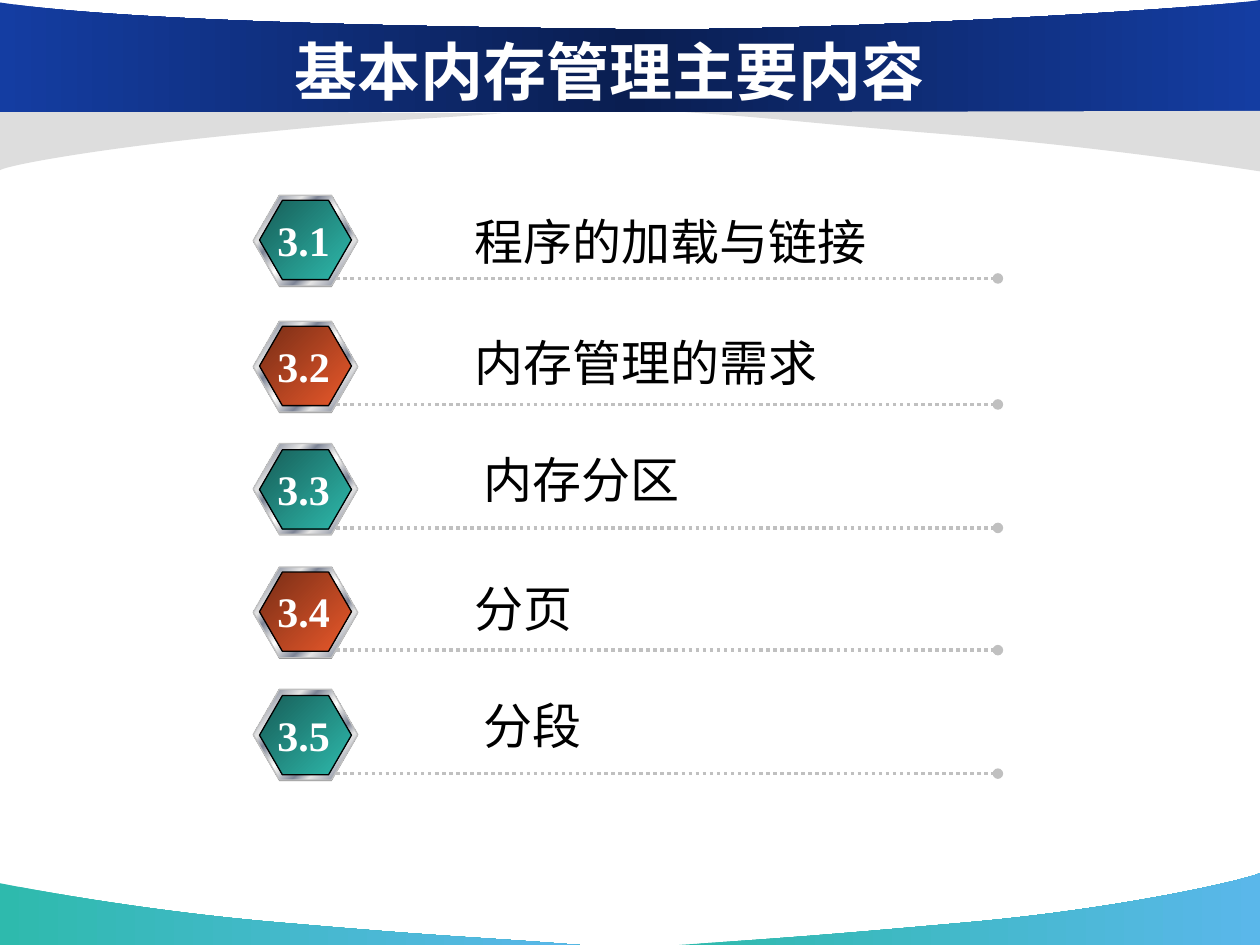
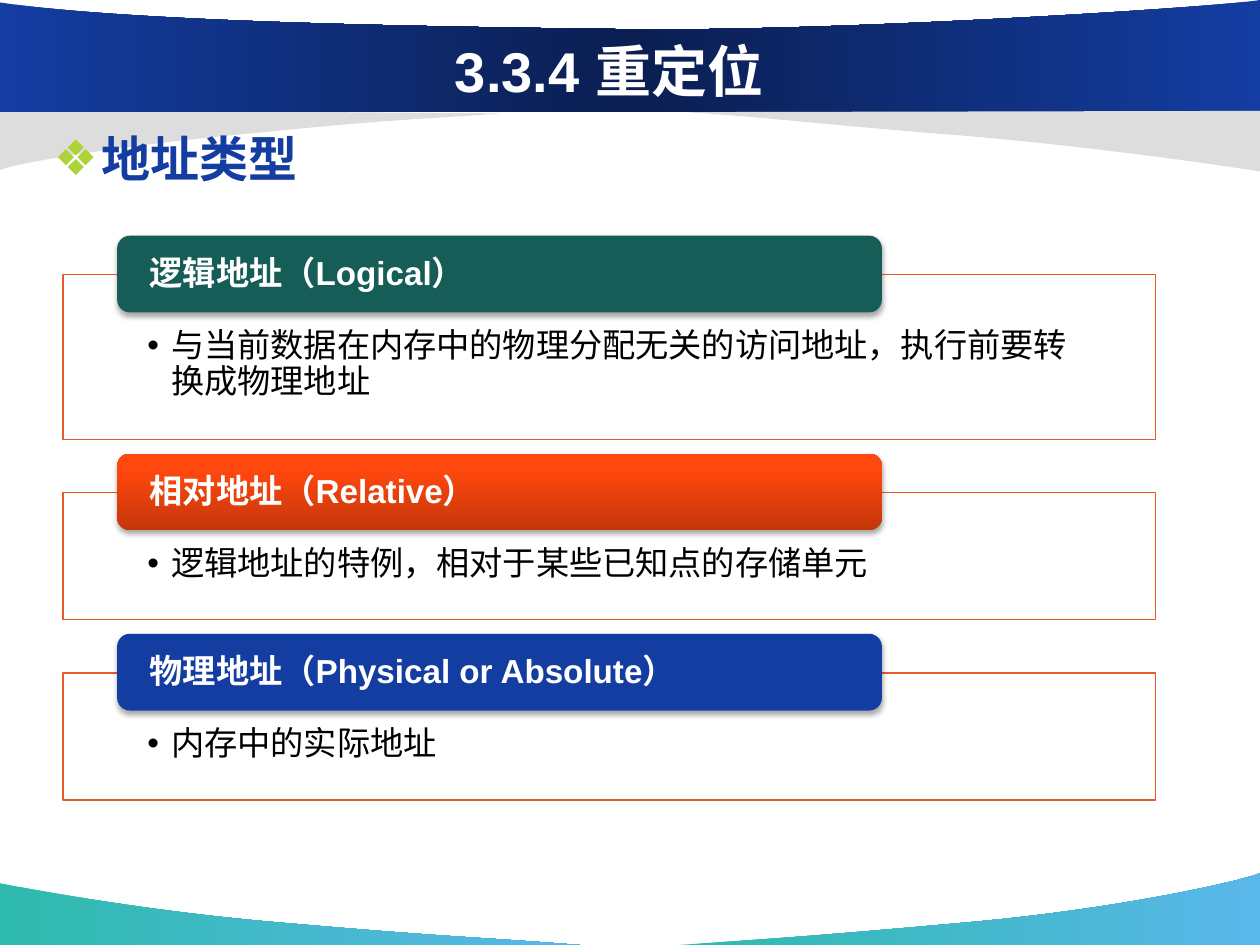
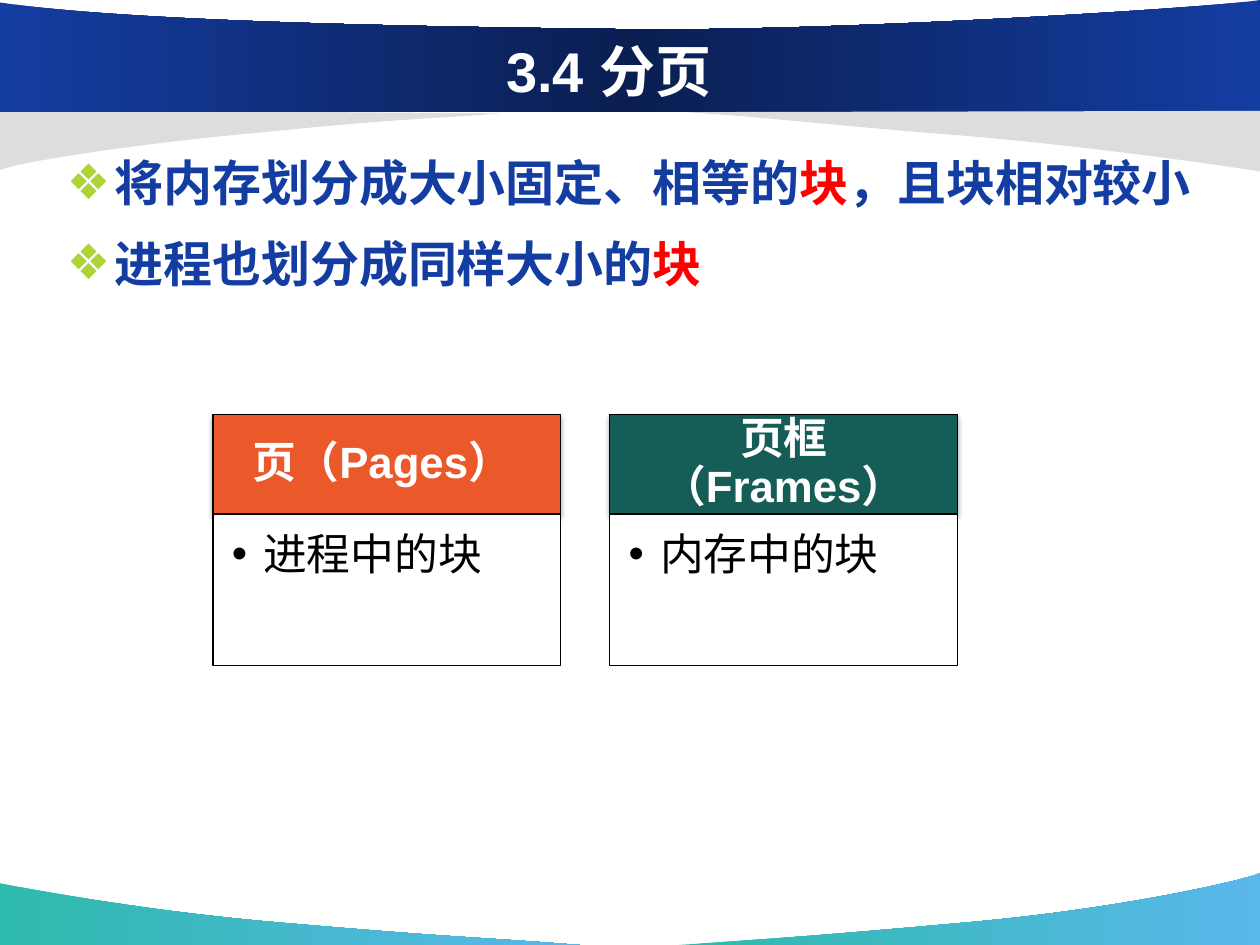
from lxml.etree import SubElement
from pptx import Presentation
from pptx.dml.color import RGBColor
from pptx.enum.dml import MSO_LINE
from pptx.enum.shapes import MSO_CONNECTOR as Connector, MSO_SHAPE as Preset
from pptx.enum.text import MSO_ANCHOR as Anchor, PP_ALIGN as Align
from pptx.oxml.ns import qn
from pptx.util import Pt

PX = 9144
COLORS = {
    "white": "FFFFFF", "black": "000000", "red": "FF0000", "gray": "DDDDDD",
    "silver": "C0C0C0", "shade": "808080", "blue": "143DA2", "navy": "0A1E51",
    "teal": "2EBAAD", "dark_teal": "175D57", "sky": "5AB7EA",
    "orange": "EB592B", "rust": "762D16", "brick": "C5370B", "flame": "FF480E",
    "bright_flame": "FF4910", "lime": "AED337", "light_steel": "E6E6E6", "steel": "7D8496",
}
FOOTER = ([(0, "teal"), (100, "sky")], 0)
BANNER = ([(0, "blue"), (50, "navy"), (100, "blue")], 0)
TEAL_BADGE = ([(0, "dark_teal"), (100, "teal")], 45)
ORANGE_BADGE = ([(0, "rust"), (100, "orange")], 45)
FLAME = ([(0, "brick"), (80, "flame"), (100, "bright_flame")], 270)
METAL = ([(0, "light_steel"), (8, "steel"), (26, "light_steel"), (34, "steel"),
          (46, "light_steel"), (50, "white"), (54, "light_steel"), (66, "steel"),
          (74, "light_steel"), (92, "steel"), (100, "light_steel")], 45)
BACKDROP = [
    (FOOTER, (460, 750), [(384, 744, 358, 744, 232, 733), (106, 723, 1, 701, 0, 701), (0, 750)]),
    (FOOTER, (539, 750), [(614, 745, 646, 743, 769, 732), (892, 721, 990, 698, 1000, 693),
                          (1000, 750)]),
    ("gray", (398, 90), [(331, 95, 318, 94, 208, 105), (97, 115, 9, 130, 0, 135), (0, 87)]),
    (BANNER, (0, 89), [(1000, 89), (1000, 0), (964, 6, 653, 26, 487, 23),
                       (321, 21, 101, 17, 0, 2)]),
    ("gray", (544, 89), [(620, 94, 642, 98, 768, 108), (894, 119, 999, 136, 1000, 136),
                         (1000, 88)]),
]


def rgb(name):
    """Return the colour of that name."""
    return RGBColor.from_string(COLORS[name])


def add_color(parent, name):
    """Append a colour element and return it."""
    return SubElement(parent, qn("a:srgbClr"), val=COLORS[name])


def bend(shape, corners, segments):
    """Turn the six-number segments of an outline into cubic curves."""
    left, top = (min(values) for values in zip(*corners))
    lines = list(shape.element.iter(qn("a:lnTo")))
    for line, segment in zip(lines, segments):
        if len(segment) == 6:
            curve = SubElement(line.getparent(), qn("a:cubicBezTo"))
            for x, y in zip(segment[::2], segment[1::2]):
                SubElement(curve, qn("a:pt"), x=str(x - left), y=str(y - top))
            line.getparent().replace(line, curve)


def add_bullet(paragraph, character, indent, color):
    """Give a paragraph a hanging bullet."""
    properties = paragraph._p.get_or_add_pPr()
    properties.set("marL", str(indent * PX))
    properties.set("indent", str(-indent * PX))
    add_color(SubElement(properties, qn("a:buClr")), color)
    SubElement(properties, qn("a:buFont"), typeface="Arial")
    SubElement(properties, qn("a:buChar"), char=character)


def write_text(shape, text, size=28, color="black", bold=False, font="Arial", align=Align.LEFT,
               anchor=Anchor.TOP, insets=(10, 5, 10, 5), wrap=True, line_spacing=1.0,
               space_before=0, bullet=None, indent=0, bullet_color="black"):
    """Write lines of text, with the parts between asterisks in red."""
    frame = shape.text_frame
    frame.word_wrap = wrap
    frame.vertical_anchor = anchor
    frame.margin_left, frame.margin_top, frame.margin_right, frame.margin_bottom = (
        inset * PX for inset in insets)
    for row, line in enumerate(text.split("\n")):
        paragraph = frame.add_paragraph() if row else frame.paragraphs[0]
        paragraph.alignment = align
        paragraph.line_spacing = line_spacing
        paragraph.space_before = Pt(space_before)
        if bullet:
            add_bullet(paragraph, bullet, indent, bullet_color)
        for part, words in enumerate(line.split("*")):
            if words:
                run = paragraph.add_run()
                run.text = words
                run.font.name, run.font.size, run.font.bold = font, Pt(size), bold
                run.font.color.rgb = rgb("red" if part % 2 else color)


class Deck:
    """Holds the presentation, its style and the current slide."""

    def __init__(self):
        self.presentation = Presentation()
        self.presentation.slide_width = 1000 * PX
        self.presentation.slide_height = 750 * PX
        self.slide = None

    def new_slide(self, title, size=32):
        """Start a slide with the shared backdrop and title."""
        self.slide = self.presentation.slides.add_slide(self.presentation.slide_layouts[6])
        for fill, start, segments in BACKDROP:
            self.freeform(start, segments, fill)
        self.text((92, 25, 783, 62), title, size=size, color="white", bold=True,
                  align=Align.CENTER, anchor=Anchor.MIDDLE)

    def paint(self, shape, fill, line=None, shadow=False):
        """Set fill, outline and shadow of a shape."""
        shape.shadow.inherit = False
        properties = shape.element.spPr
        if isinstance(fill, str):
            shape.fill.solid()
            shape.fill.fore_color.rgb = rgb(fill)
        else:
            stops, angle = fill
            shape.fill.gradient()
            gradient = properties.find(qn("a:gradFill"))
            stop_list = gradient.find(qn("a:gsLst"))
            for stop in list(stop_list):
                stop_list.remove(stop)
            for position, name in stops:
                add_color(SubElement(stop_list, qn("a:gs"), pos=str(position * 1000)), name)
            gradient.find(qn("a:lin")).set("ang", str(angle * 60000))
        if line:
            shape.line.color.rgb = rgb(line)
            shape.line.width = Pt(0.75)
        else:
            shape.line.fill.background()
        if shadow:
            outer = SubElement(properties.find(qn("a:effectLst")), qn("a:outerShdw"),
                               blurRad=str(Pt(3.1)), dist=str(Pt(1.8)), dir="5400000",
                               rotWithShape="0")
            SubElement(add_color(outer, "black"), qn("a:alpha"), val="35000")

    def freeform(self, start, segments, fill):
        """Add a closed outline of lines and curves."""
        corners = [start] + [segment[-2:] for segment in segments]
        builder = self.slide.shapes.build_freeform(*start, scale=PX)
        builder.add_line_segments(corners[1:], close=True)
        shape = builder.convert_to_shape()
        bend(shape, corners, segments)
        self.paint(shape, fill)

    def box(self, preset, place, fill, line=None, shadow=False, text="", **text_format):
        """Add a preset shape, with text if given."""
        shape = self.slide.shapes.add_shape(preset, *(length * PX for length in place))
        self.paint(shape, fill, line, shadow)
        if text:
            write_text(shape, text, **text_format)
        return shape

    def text(self, place, text, **text_format):
        """Add a text box."""
        shape = self.slide.shapes.add_textbox(*(length * PX for length in place))
        write_text(shape, text, **text_format)

    def body(self, place, text):
        """Add the main points of a slide."""
        self.text(place, text, color="blue", bold=True, line_spacing=1.2, space_before=5.6,
                  bullet="❖", indent=38, bullet_color="lime")

    def dotted_line(self, left, right, y):
        """Add a dotted rule that ends in a dot."""
        line = self.slide.shapes.add_connector(
            Connector.STRAIGHT, left * PX, y * PX, right * PX, y * PX)
        line.line.color.rgb = rgb("silver")
        line.line.width = Pt(2)
        line.line.dash_style = MSO_LINE.ROUND_DOT
        properties = line.element.spPr
        SubElement(properties.find(qn("a:ln")), qn("a:tailEnd"), type="oval")
        SubElement(properties, qn("a:effectLst"))

    def hexagon(self, place, fill, line=None):
        """Add a regular hexagon."""
        self.box(Preset.HEXAGON, place, fill, line).adjustments[0] = 0.289

    def badge(self, top, rule, number, fill):
        """Add a metal-rimmed number with its dotted rule."""
        self.hexagon((201, top + 1, 83, 72), "shade")
        self.hexagon((201, top, 83, 72), METAL, "silver")
        self.hexagon((206, rule - 62, 73, 63), fill, "black")
        self.dotted_line(267, 792, rule)
        self.text((210, rule - 56, 62, 51), number, size=24, color="white", bold=True,
                  font="Times New Roman", align=Align.CENTER, wrap=False)

    def address_card(self, top, height, fill, heading, detail):
        """Add a framed explanation under a rounded heading."""
        self.box(Preset.RECTANGLE, (50, top, 867, height), "white", "orange", text=detail,
                 size=19, insets=(67, 43, 67, 15), line_spacing=0.9, bullet="•", indent=19)
        self.box(Preset.ROUNDED_RECTANGLE, (93, top - 31, 607, 61), fill, shadow=True,
                 text=heading, size=19, color="white", bold=True, anchor=Anchor.MIDDLE,
                 insets=(23, 1, 23, 0), line_spacing=0.9)

    def block_column(self, left, fill, heading, detail):
        """Add a coloured heading with a white box below."""
        self.box(Preset.RECTANGLE, (left, 329, 276, 79), fill, "black", shadow=True,
                 text=heading, size=25, color="white", bold=True, align=Align.CENTER,
                 anchor=Anchor.MIDDLE, insets=(19, 11, 19, 11), line_spacing=0.9)
        self.box(Preset.RECTANGLE, (left, 408, 276, 120), "white", "black", text=detail,
                 size=25, insets=(15, 15, 19, 22), line_spacing=0.9, bullet="•", indent=25)


def contents_slide(deck):
    """Build the list of sections."""
    deck.new_slide("基本内存管理主要内容", size=36)
    sections = [
        (155, 221, "程序的加载与链接", 367, 163, 345),
        (255, 321, "内存管理的需求", 367, 259, 298),
        (352, 419, "内存分区", 374, 352, 339),
        (450, 516, "分页", 367, 454, 298),
        (547, 614, "分段", 374, 547, 339),
    ]
    for number, (top, rule, label, label_left, label_top, width) in enumerate(sections, 1):
        deck.badge(top, rule, f"3.{number}", TEAL_BADGE if number % 2 else ORANGE_BADGE)
        deck.text((label_left, label_top, width, 57), label)


def relocation_slide(deck):
    """Build the slide on kinds of address."""
    deck.new_slide("3.3.4 重定位")
    deck.body((33, 88, 900, 61), "地址类型")
    cards = [
        (131, "dark_teal", "逻辑地址（Logical）",
         "与当前数据在内存中的物理分配无关的访问地址，执行前要转换成物理地址"),
        (101, FLAME, "相对地址（Relative）", "逻辑地址的特例，相对于某些已知点的存储单元"),
        (101, "blue", "物理地址（Physical or Absolute）", "内存中的实际地址"),
    ]
    top = 218
    for height, fill, heading, detail in cards:
        deck.address_card(top, height, fill, heading, detail)
        top += height + 42


def paging_slide(deck):
    """Build the slide on pages and frames."""
    deck.new_slide("3.4 分页")
    deck.body((43, 107, 929, 236),
              "将内存划分成大小固定、相等的*块*，且块相对较小\n进程也划分成同样大小的*块*")
    deck.block_column(169, "orange", "页（Pages） ", "进程中的块")
    deck.block_column(484, "dark_teal", "页框（Frames）", "内存中的块")


def main():
    """Build and save the slides."""
    deck = Deck()
    contents_slide(deck)
    relocation_slide(deck)
    paging_slide(deck)
    deck.presentation.save("out.pptx")


if __name__ == "__main__":
    main()
